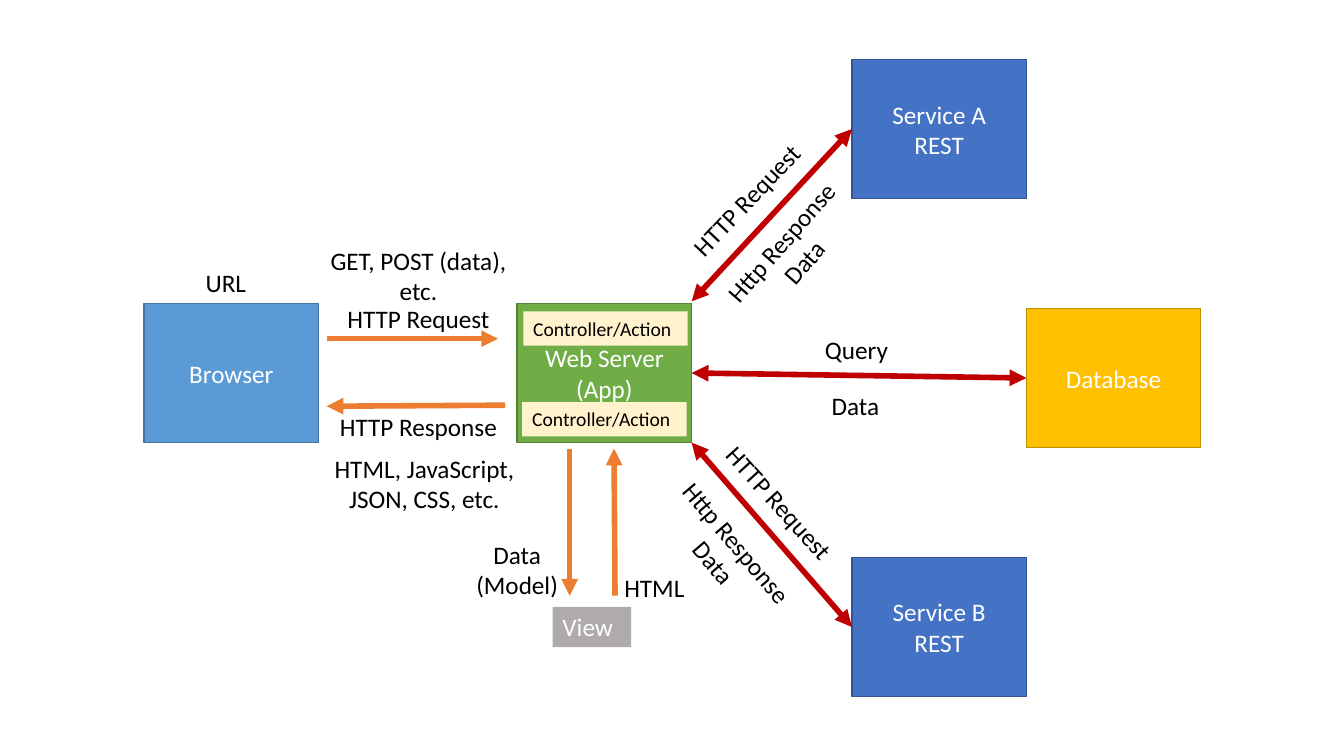
from pptx import Presentation
from pptx.dml.color import RGBColor
from pptx.enum.shapes import MSO_CONNECTOR, MSO_SHAPE
from pptx.enum.text import MSO_ANCHOR, MSO_AUTO_SIZE, PP_ALIGN
from pptx.oxml.ns import qn
from pptx.util import Inches, Pt
from lxml import etree

RECTANGLE = MSO_SHAPE.RECTANGLE
STRAIGHT = MSO_CONNECTOR.STRAIGHT
CENTER, LEFT = PP_ALIGN.CENTER, PP_ALIGN.LEFT
MIDDLE, TOP = MSO_ANCHOR.MIDDLE, MSO_ANCHOR.TOP
FIT_SHAPE = MSO_AUTO_SIZE.SHAPE_TO_FIT_TEXT

WHITE = RGBColor(0xFF, 0xFF, 0xFF)
BLACK = RGBColor(0x00, 0x00, 0x00)
SKY, SKY_EDGE = RGBColor(0x5B, 0x9B, 0xD5), RGBColor(0x43, 0x73, 0x9E)
GREEN, GREEN_EDGE = RGBColor(0x70, 0xAD, 0x47), RGBColor(0x53, 0x80, 0x35)
GOLD, GOLD_EDGE = RGBColor(0xFF, 0xC0, 0x00), RGBColor(0xBD, 0x8E, 0x00)
BLUE, BLUE_EDGE = RGBColor(0x44, 0x72, 0xC4), RGBColor(0x32, 0x54, 0x91)
CREAM = RGBColor(0xFF, 0xF2, 0xCC)
GRAY = RGBColor(0xAF, 0xAB, 0xAB)
ORANGE = RGBColor(0xED, 0x7D, 0x31)
RED = RGBColor(0xC0, 0x00, 0x00)

FONT = "Calibri"
NODE_WIDTH, NODE_HEIGHT = 1.73, 1.38
LINE_HEIGHT, TWO_LINE_HEIGHT = 0.4, 0.71
SERVER_RIGHT = 6.86
SERVICE_LEFT = 8.45
RIGHT_SIDE, LEFT_SIDE = 3, 1


def write_text(box, text, color, size=18, align=CENTER, anchor=TOP):
    frame = box.text_frame
    frame.text = text
    frame.vertical_anchor = anchor
    for para in frame.paragraphs:
        para.alignment = align
        for span in para.runs:
            span.font.name = FONT
            span.font.size = Pt(size)
            span.font.color.rgb = color


def add_rectangle(page, left, top, width, height, fill):
    box = page.shapes.add_shape(
        RECTANGLE, Inches(left), Inches(top), Inches(width), Inches(height))
    box.shadow.inherit = False
    box.fill.solid()
    box.fill.fore_color.rgb = fill
    box.text_frame.word_wrap = True
    return box


def add_node(page, text, left, top, fill, edge):
    box = add_rectangle(page, left, top, NODE_WIDTH, NODE_HEIGHT, fill)
    box.line.color.rgb = edge
    box.line.width = Pt(1)
    write_text(box, text, WHITE, anchor=MIDDLE)
    return box


def add_tag(page, text, left, top, width, height, fill, color, size):
    box = add_rectangle(page, left, top, width, height, fill)
    box.line.fill.background()
    write_text(box, text, color, size, LEFT)


def add_label(page, text, left, top, width, height=LINE_HEIGHT,
              rotation=0, wrap=False):
    box = page.shapes.add_textbox(
        Inches(left), Inches(top), Inches(width), Inches(height))
    box.rotation = rotation
    write_text(box, text, BLACK)
    box.text_frame.word_wrap = wrap
    box.text_frame.auto_size = FIT_SHAPE


def add_arrow(page, start, end, color, both_ways=False):
    arrow = page.shapes.add_connector(
        STRAIGHT, *(Inches(value) for value in start + end))
    arrow.line.color.rgb = color
    arrow.line.width = Pt(4)
    properties = arrow._element.spPr
    outline = properties.find(qn("a:ln"))
    for name in ("a:headEnd", "a:tailEnd") if both_ways else ("a:tailEnd",):
        etree.SubElement(outline, qn(name), type="triangle")
    etree.SubElement(properties, qn("a:effectLst"))
    return arrow


def add_browser_traffic(page):
    add_label(page, "URL", 1.92, 2.6, 0.64)
    add_arrow(page, (3.24, 3.36), (4.94, 3.36), ORANGE)
    add_label(page, "HTTP Request", 3.16, 2.96, 1.98)
    add_arrow(page, (5.01, 4.02), (3.24, 4.03), ORANGE)
    add_label(page, "HTTP Response", 3.16, 4.03, 1.98)
    add_label(page, "GET, POST (data), etc.", 3.16, 2.38, 1.98,
              TWO_LINE_HEIGHT, wrap=True)
    add_label(page, "HTML, JavaScript, JSON, CSS, etc.", 3.16, 4.45, 2.1,
              TWO_LINE_HEIGHT, wrap=True)


def add_database_traffic(page, server, database):
    query = add_arrow(page, (SERVER_RIGHT, 3.7), (10.18, 3.75), RED, True)
    query.begin_connect(server, RIGHT_SIDE)
    query.end_connect(database, LEFT_SIDE)
    add_label(page, "Query", 8.04, 3.27, 0.91)
    add_label(page, "Data", 8.15, 3.82, 0.67)


def add_service_traffic(page, service, start_top, end_top, request, response):
    arrow = add_arrow(page, (SERVER_RIGHT, start_top),
                      (SERVICE_LEFT, end_top), RED, True)
    arrow.end_connect(service, LEFT_SIDE)
    left, top, rotation = request
    add_label(page, "HTTP Request", left, top, 1.66, rotation=rotation)
    left, top, rotation = response
    add_label(page, "Http Response\nData", left, top, 1.7,
              TWO_LINE_HEIGHT, rotation)


def add_view_traffic(page):
    add_tag(page, "View", 5.48, 6.02, 0.78, LINE_HEIGHT, GRAY, WHITE, 18)
    add_arrow(page, (5.65, 4.45), (5.65, 5.91), ORANGE)
    add_label(page, "Data\n(Model)", 4.61, 5.3, 1.04, TWO_LINE_HEIGHT)
    add_arrow(page, (6.1, 5.91), (6.09, 4.45), ORANGE)
    add_label(page, "HTML", 6.09, 5.63, 0.8)


def main():
    deck = Presentation()
    deck.slide_width, deck.slide_height = Inches(13.33), Inches(7.5)
    page = deck.slides.add_slide(deck.slide_layouts[6])

    add_node(page, "Browser", 1.43, 3.01, SKY, SKY_EDGE)
    server = add_node(page, "Web Server (App)", 5.13, 3.01, GREEN, GREEN_EDGE)
    database = add_node(page, "Database", 10.18, 3.06, GOLD, GOLD_EDGE)
    service_a = add_node(page, "Service A\nREST", SERVICE_LEFT, 0.59,
                         BLUE, BLUE_EDGE)
    service_b = add_node(page, "Service B\nREST", SERVICE_LEFT, 5.53,
                         BLUE, BLUE_EDGE)
    for left, top in ((5.19, 3.09), (5.18, 3.99)):
        add_tag(page, "Controller/Action", left, top, 1.63, 0.34,
                CREAM, BLACK, 14)

    add_browser_traffic(page)
    add_database_traffic(page, server, database)
    add_service_traffic(page, service_a, 2.99, 1.28,
                        (6.57, 1.78, 313.5), (7.01, 2.15, 311.1))
    add_service_traffic(page, service_b, 4.39, 6.22,
                        (6.9, 4.79, 47.9), (6.34, 5.13, 49.7))
    add_view_traffic(page)
    deck.save("out.pptx")


if __name__ == "__main__":
    main()
